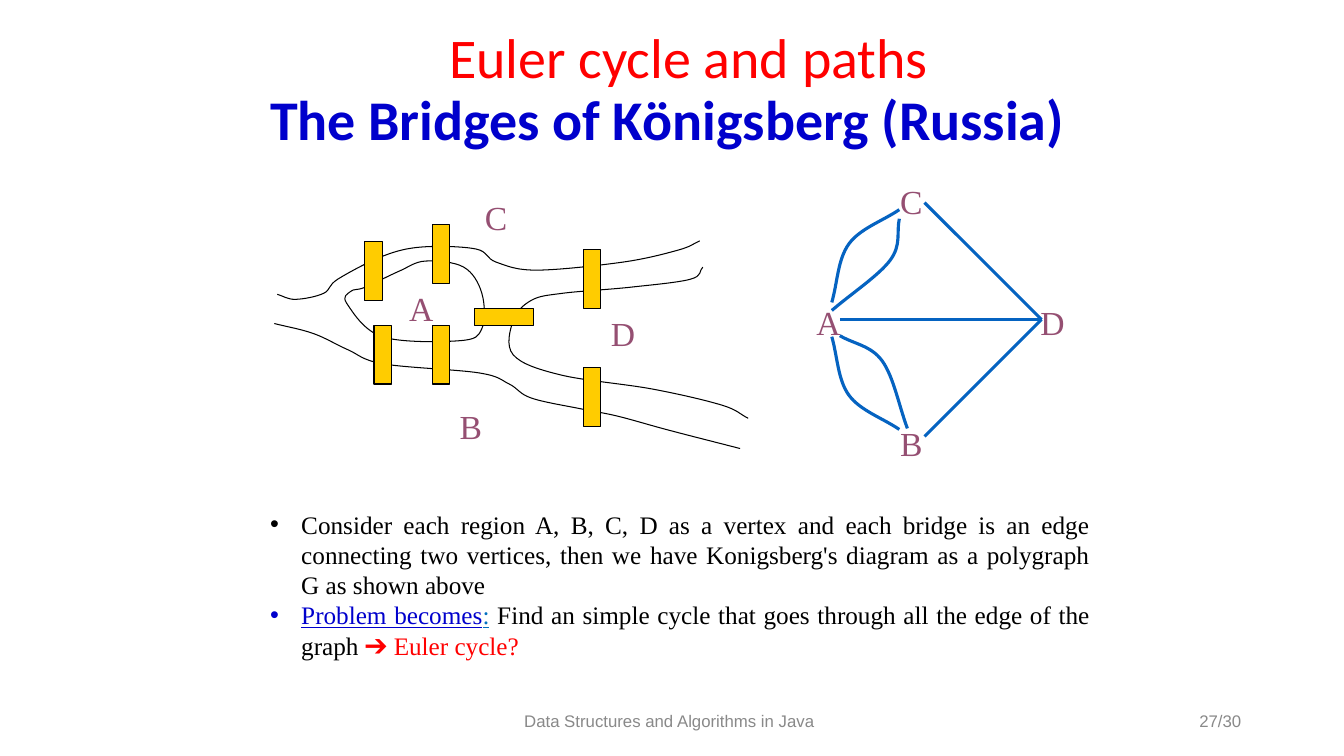
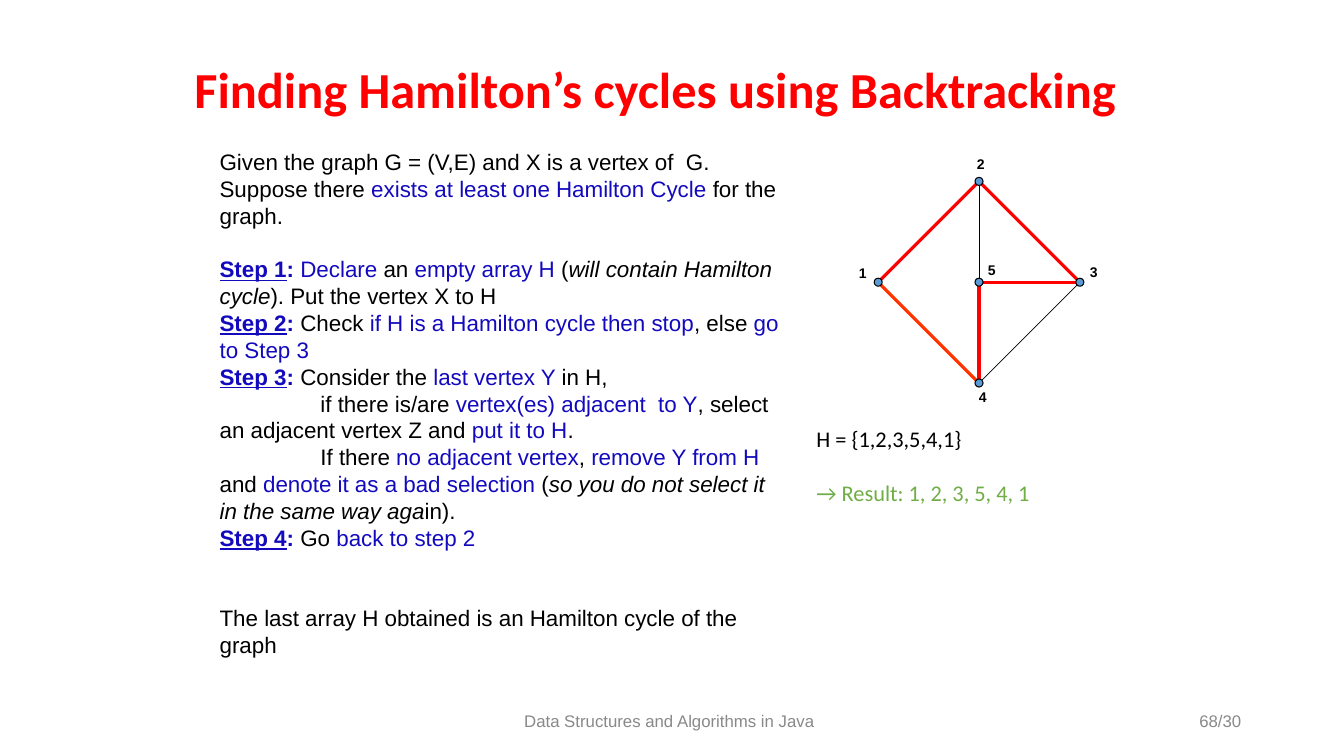
"""Build two graph theory slides: the Königsberg bridges and Hamilton cycles."""
from itertools import pairwise

from lxml import etree
from pptx import Presentation
from pptx.dml.color import RGBColor
from pptx.enum.shapes import MSO_CONNECTOR, MSO_SHAPE
from pptx.enum.text import MSO_ANCHOR, PP_ALIGN
from pptx.oxml.ns import qn
from pptx.util import Inches, Pt

RECT, OVAL, STRAIGHT = MSO_SHAPE.RECTANGLE, MSO_SHAPE.OVAL, MSO_CONNECTOR.STRAIGHT
TOP, MIDDLE = MSO_ANCHOR.TOP, MSO_ANCHOR.MIDDLE
CENTER, RIGHT, JUSTIFY = PP_ALIGN.CENTER, PP_ALIGN.RIGHT, PP_ALIGN.JUSTIFY

COLORS = {
    "black": "000000", "red": "FF0000", "orange": "FF3300", "navy": "0000CC",
    "indigo": "130ABE", "blue": "0070C0", "edge": "0563C1", "plum": "954F72",
    "bridge": "FFCC00", "node": "5B9BD5", "green": "70AD47", "gray": "898989",
}
RGB = {name: RGBColor.from_string(value) for name, value in COLORS.items()}
THIN, NORMAL, THICK = 0.5, 0.75, 2.25

FOOTER = {"name": "Arial", "size": Pt(12), "color": "gray"}
TITLE = {"name": "Calibri", "size": Pt(40), "color": "red"}
BOLD_TITLE = TITLE | {"bold": True}
REGION = {"name": "Times New Roman", "size": Pt(24), "color": "plum"}
BODY = {"name": "Times New Roman", "size": Pt(18), "color": "black"}
STEPS = {"name": "Arial", "size": Pt(16), "color": "black"}
RESULT = STEPS | {"name": "Calibri"}
NODE_LABEL = {"name": "Arial", "size": Pt(10), "color": "black", "bold": True}

PLAIN = {}
INDIGO = {"color": "indigo"}
COLON = INDIGO | {"bold": True}
STEP = COLON | {"underline": True}
ITALIC = {"italic": True}

TIGHT = {"line_spacing": 0.9}
BULLET = {"alignment": JUSTIFY, "marL": Inches(0.31), "indent": -Inches(0.31), "bullet": "•"}
ONE_LINE_GAP = {"space_before": Pt(19)}
TWO_LINE_GAP = {"space_before": Pt(38)}
FIRST_LINE_IN = {"indent": Inches(1)}


def write(s, box, paragraphs, style, anchor=TOP):
    tf = s.shapes.add_textbox(*map(Inches, box)).text_frame
    tf.word_wrap = True
    tf.vertical_anchor = anchor
    for i, (layout, runs) in enumerate(paragraphs):
        p = tf.add_paragraph() if i else tf.paragraphs[0]
        for key, value in layout.items():
            if key in ("marL", "indent"):
                p._p.get_or_add_pPr().set(key, str(value))
            elif key == "bullet":
                pPr = p._p.get_or_add_pPr()
                etree.SubElement(pPr, qn("a:buFont")).set("typeface", "Arial")
                etree.SubElement(pPr, qn("a:buChar")).set("char", value)
            else:
                setattr(p, key, value)
        for text, extra in runs:
            r = p.add_run()
            r.text = text
            for key, value in (style | extra).items():
                if key == "color":
                    r.font.color.rgb = RGB[value]
                else:
                    setattr(r.font, key, value)


def stroke(sp, color, width):
    sp.line.color.rgb = RGB[color]
    sp.line.width = Pt(width)
    etree.SubElement(sp._element.spPr, qn("a:effectLst"))


prs = Presentation()
prs.slide_width, prs.slide_height = Inches(13.33), Inches(7.5)
slides = []
for number in ("27/30", "68/30"):
    s = prs.slides.add_slide(prs.slide_layouts[6])
    write(s, (4.39, 6.95, 4.5, 0.4),
          [({"alignment": CENTER}, [("Data Structures and Algorithms in Java", PLAIN)])], FOOTER, MIDDLE)
    write(s, (9.41, 6.95, 3, 0.4), [({"alignment": RIGHT}, [(number, PLAIN)])], FOOTER, MIDDLE)
    slides.append(s)
bridges, hamilton = slides

s = bridges
write(s, (2.58, 0.17, 8.5, 0.77),
      [({"alignment": CENTER}, [("Euler cycle and paths", PLAIN)])], TITLE, MIDDLE)
write(s, (2.58, 0.86, 8.5, 0.71),
      [(TIGHT, [("The Bridges of Königsberg (Russia)", PLAIN)])],
      BOLD_TITLE | {"color": "navy"}, MIDDLE)

shores = {
    "island": [(3.62, 2.85), (3.96, 2.69), (4.22, 2.59), (4.6, 2.65), (4.78, 2.91),
               (4.78, 3.26), (4.56, 3.38), (3.79, 3.34), (3.44, 3.01), (3.48, 2.89), (3.62, 2.85)],
    "north": [(2.75, 2.92), (2.93, 2.97), (3.21, 2.91), (3.35, 2.77), (3.8, 2.54), (4.19, 2.45),
              (4.72, 2.47), (4.92, 2.6), (5.32, 2.68), (6.18, 2.6), (6.73, 2.48), (6.94, 2.39)],
    "east": [(6.97, 2.65), (6.85, 2.77), (6.25, 2.85), (5.58, 2.91), (5.27, 2.98), (5.09, 3.18),
             (5.09, 3.52), (5.56, 3.72), (6.47, 3.86), (7.16, 4.02), (7.42, 4.15)],
    "south": [(2.72, 3.21), (3.11, 3.31), (3.45, 3.47), (3.8, 3.61), (4.75, 3.7), (5.05, 3.81),
              (5.27, 3.95), (5.78, 4.06), (6.13, 4.13), (6.64, 4.27), (7.34, 4.45)],
}
axis = 3.17
outer_arc = [(8.25, 3), (8.42, 2.42), (8.92, 2.08)]
arcs = {
    "AC outer": outer_arc,
    "AC inner": [(8.25, 3.08), (8.83, 2.58), (8.92, 2.17)],
    "AB outer": [(x, 2 * axis - y) for x, y in outer_arc],
    "AB inner": [(8.33, 3.33), (8.75, 3.58), (9, 4.25)],
}
curves = [(points, "black", NORMAL) for points in shores.values()]
curves += [(points, "edge", THICK) for points in arcs.values()]

for points, color, width in curves:
    knots = [(Inches(x), Inches(y)) for x, y in points]
    if knots[0] == knots[-1]:
        before, after = knots[-2], knots[1]
    else:
        before = [2 * end - inner for end, inner in zip(knots[0], knots[1])]
        after = [2 * end - inner for end, inner in zip(knots[-1], knots[-2])]
    padded = [before, *knots, after]
    handles = []
    for a, b, c, d in zip(padded, padded[1:], padded[2:], padded[3:]):
        leave = [q + (r - p) / 6 for p, q, r in zip(a, b, c)]
        arrive = [q - (r - p) / 6 for p, q, r in zip(b, c, d)]
        handles += [leave, arrive, c]
    builder = s.shapes.build_freeform(*knots[0])
    builder.add_line_segments(handles, close=False)
    sp = builder.convert_to_shape()
    sp.fill.background()
    stroke(sp, color, width)
    outline = sp._element.find(".//" + qn("a:path"))
    segments = outline.findall(qn("a:lnTo"))
    for i in range(0, len(segments), 3):
        bezier = etree.SubElement(outline, qn("a:cubicBezTo"))
        for segment in segments[i:i + 3]:
            bezier.append(segment[0])
            outline.remove(segment)

length, breadth = 0.58, 0.17
upright = [(3.62, 2.4), (4.29, 2.23), (3.71, 3.23), (4.29, 3.23), (5.79, 2.48), (5.79, 3.65)]
bridge_boxes = [(x, y, breadth, length) for x, y in upright] + [(4.71, 3.06, length, breadth)]
for box in bridge_boxes:
    sp = s.shapes.add_shape(RECT, *map(Inches, box))
    sp.fill.solid()
    sp.fill.fore_color.rgb = RGB["bridge"]
    stroke(sp, "black", NORMAL)

reach = 1.16
ports = {"A": (8.33, axis), "C": (9.17, axis - reach), "D": (10.33, axis), "B": (9.17, axis + reach)}
for a, b in ("CD", "AD", "DB"):
    cx = s.shapes.add_connector(STRAIGHT, *map(Inches, ports[a] + ports[b]))
    stroke(cx, "edge", THICK)

map_labels = {"A": (3.96, 2.81), "B": (4.46, 3.98), "C": (4.71, 1.9), "D": (5.96, 3.06)}
row_top, row_step = 1.75, 1.2
graph_columns = {"C": (8.83, 0), "A": (8, 1), "D": (10.22, 1), "B": (8.83, 2)}
graph_labels = {name: (x, row_top + row * row_step) for name, (x, row) in graph_columns.items()}
for labels in (map_labels, graph_labels):
    for name, corner in labels.items():
        write(s, corner + (0.44, 0.5), [(PLAIN, [(name, PLAIN)])], REGION)

write(s, (2.58, 5, 8.33, 1.62), [
    (BULLET, [("Consider each region A, B, C, D as a vertex and each bridge is an edge connecting "
               "two vertices, then we have Konigsberg's diagram as a polygraph G as shown above", PLAIN)]),
    (BULLET, [("Problem becomes", {"color": "navy", "underline": True}),
              (":", {"color": "blue", "underline": True}),
              (" Find an simple cycle that goes through all the edge of the graph ", PLAIN),
              ("➔ Euler cycle?", {"color": "red"})]),
], BODY)

s = hamilton
write(s, (1.83, 0.5, 9.75, 0.83),
      [(TIGHT, [("Finding Hamilton’s cycles using Backtracking", PLAIN)])],
      BOLD_TITLE | {"size": Pt(36)}, MIDDLE)

center_x, center_y, radius, dot = 9.71, 2.8, 1, 0.08
directions = {"1": (-1, 0), "2": (0, -1), "3": (1, 0), "4": (0, 1), "5": (0, 0)}
label_offsets = {"1": (-0.29, -0.22), "2": (-0.12, -0.31), "3": (0, -0.23),
                 "4": (-0.1, 0.01), "5": (-0.01, -0.25)}
nodes = {name: (center_x + radius * dx, center_y + radius * dy)
         for name, (dx, dy) in directions.items()}

cycle = "123541"
edges = [("2", "5", "black", THIN), ("3", "4", "black", THIN)]
edges += [(a, b, "orange" if a + b == "41" else "red", THICK) for a, b in pairwise(cycle)]
for a, b, color, width in edges:
    cx = s.shapes.add_connector(STRAIGHT, *map(Inches, nodes[a] + nodes[b]))
    stroke(cx, color, width)

for name, (x, y) in nodes.items():
    sp = s.shapes.add_shape(OVAL, *map(Inches, (x - dot / 2, y - dot / 2, dot, dot)))
    sp.fill.solid()
    sp.fill.fore_color.rgb = RGB["node"]
    stroke(sp, "black", NORMAL)
    dx, dy = label_offsets[name]
    write(s, (x + dx, y + dy, 0.25, 0.27), [(PLAIN, [(name, PLAIN)])], NODE_LABEL)

write(s, (8, 4.17, 3.33, 0.91), [
    (PLAIN, [("H = {1,2,3,5,4,1}", PLAIN)]),
    (ONE_LINE_GAP, [("→ Result: 1, 2, 3, 5, 4, 1", {"color": "green"})]),
], RESULT)
write(s, (2.08, 1.42, 5.75, 5.22), [
    (PLAIN, [("Given the graph G = (V,E) and X is a vertex of  G. Suppose there ", PLAIN),
             ("exists at least one Hamilton Cycle", INDIGO), (" for the graph.", PLAIN)]),
    (ONE_LINE_GAP, [("Step 1", STEP), (": ", COLON), ("Declare", INDIGO), (" an ", PLAIN),
                    ("empty array H ", INDIGO), ("(", PLAIN), ("will contain Hamilton cycle", ITALIC),
                    ("). Put the vertex X to H", PLAIN)]),
    (PLAIN, [("Step 2", STEP), (":", COLON), (" Check ", PLAIN),
             ("if H is a Hamilton cycle then stop", INDIGO), (", else ", PLAIN),
             ("go to Step 3", INDIGO)]),
    (PLAIN, [("Step 3", STEP), (": ", COLON), ("Consider the ", PLAIN),
             ("last vertex Y ", INDIGO), ("in H,", PLAIN)]),
    (FIRST_LINE_IN, [("if there is/are ", PLAIN), ("vertex(es) adjacent  to Y", INDIGO),
                     (", select an adjacent vertex Z and ", PLAIN), ("put it to H", INDIGO),
                     (".", PLAIN)]),
    (FIRST_LINE_IN, [("If there ", PLAIN), ("no adjacent vertex", INDIGO), (", ", PLAIN),
                     ("remove Y from H ", INDIGO), ("and ", PLAIN),
                     ("denote it as a bad selection ", INDIGO), ("(", PLAIN),
                     ("so you do not select it in the same way aga", ITALIC), ("in).", PLAIN)]),
    (PLAIN, [("Step 4", STEP), (":", COLON), (" Go ", PLAIN), ("back to step 2", INDIGO)]),
    (TWO_LINE_GAP, [("The last array H obtained is an Hamilton cycle of the graph", PLAIN)]),
], STEPS)

prs.save("out.pptx")
